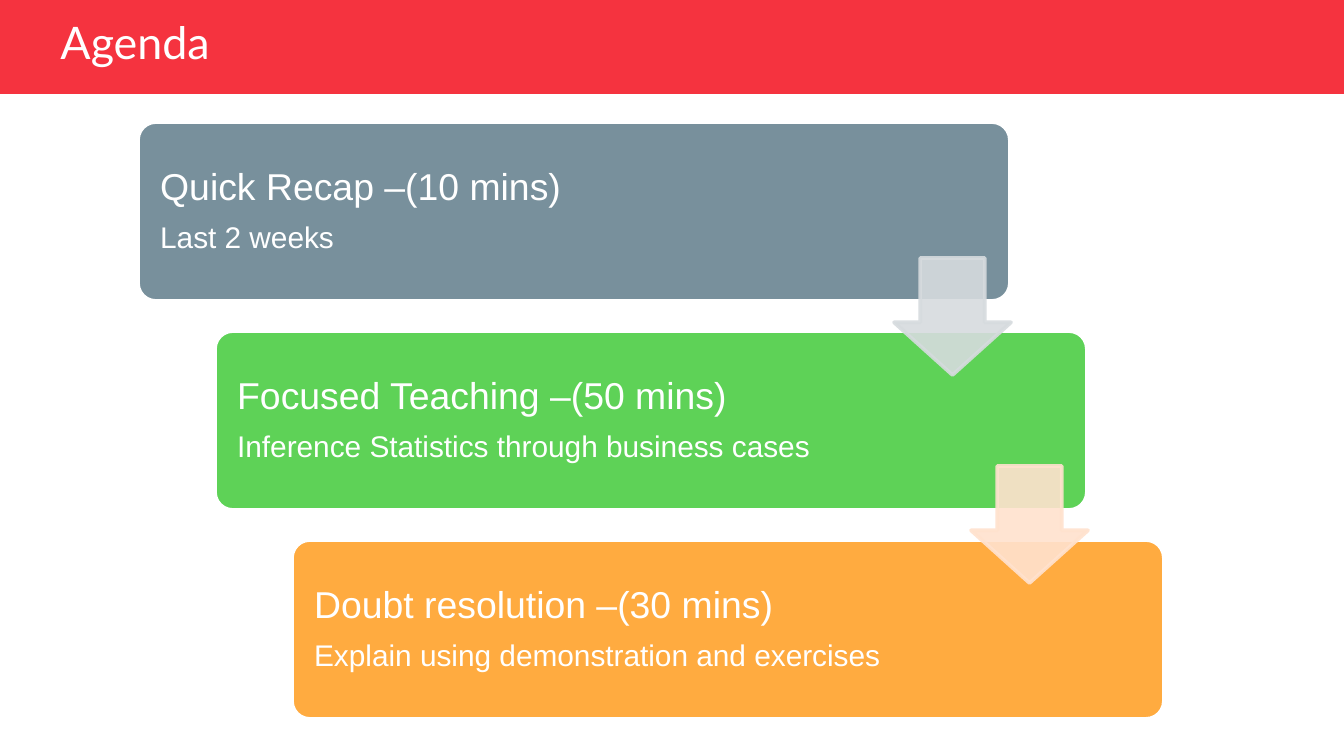
import pptx
import pptx.util
import pptx.dml.color
import pptx.enum.shapes
import pptx.enum.text
import pptx.oxml
import pptx.oxml.ns

TITLE = "Agenda"
STEPS = [
    ("Quick Recap –(10 mins)", "Last 2 weeks", "78909C"),
    ("Focused Teaching –(50 mins)", "Inference Statistics through business cases", "5ED257"),
    ("Doubt resolution –(30 mins)", "Explain using demonstration and exercises", "FFAB40"),
]
ARROW_COLORS = ["D6DBDE", "FFE2CE"]
ARROW_ALPHA = 90

SLIDE = (1344, 756)
BAR = (0, 0, 1344, 94)
TITLE_BOX = (47, 17, 550, 56)
STEP_BOX = (138, 122, 872, 179)
ARROW_BOX = (894, 258, 117, 117)
STEP_SHIFT = (77, 209)
ARROW_SHIFT = (77, 208)
SCALE = 914400 / 134.4

SHAPE = pptx.enum.shapes.MSO_SHAPE
TEXT = pptx.enum.text


def px(n):
    return pptx.util.Emu(round(n * SCALE))


def rgb(value):
    return pptx.dml.color.RGBColor.from_string(value)


def shifted(box, shift, i):
    x, y, w, h = box
    return x + i * shift[0], y + i * shift[1], w, h


def add_shape(s, kind, box, fill, line=None):
    sp = s.shapes.add_shape(kind, *map(px, box))
    sp.shadow.inherit = False
    sp.fill.solid()
    sp.fill.fore_color.rgb = rgb(fill)
    if line:
        sp.line.color.rgb = rgb(line)
        sp.line.width = pptx.util.Pt(2)
    else:
        sp.line.fill.background()
    return sp


def set_alpha(sp, percent):
    for color in sp.element.spPr.iter(pptx.oxml.ns.qn("a:srgbClr")):
        alpha = pptx.oxml.parse_xml(
            f'<a:alpha {pptx.oxml.ns.nsdecls("a")} val="{percent * 1000}"/>')
        color.append(alpha)


def format_paragraph(p, font, size):
    p.alignment = TEXT.PP_ALIGN.LEFT
    p.line_spacing = 0.9
    for r in p.runs:
        r.font.name = font
        r.font.size = pptx.util.Pt(size)
        r.font.color.rgb = rgb("FFFFFF")


def add_title(s):
    sp = s.shapes.title
    sp.left, sp.top, sp.width, sp.height = map(px, TITLE_BOX)
    tf = sp.text_frame
    tf.text = TITLE
    tf.auto_size = TEXT.MSO_AUTO_SIZE.NONE
    tf.vertical_anchor = TEXT.MSO_ANCHOR.MIDDLE
    format_paragraph(tf.paragraphs[0], "Lato", 24)
    bar = add_shape(s, SHAPE.RECTANGLE, BAR, "F5333F")
    sp.element.addprevious(bar.element)


def add_step(s, i, heading, detail, color):
    sp = add_shape(s, SHAPE.ROUNDED_RECTANGLE, shifted(STEP_BOX, STEP_SHIFT, i), color, "FFFFFF")
    sp.adjustments[0] = 0.1
    tf = sp.text_frame
    tf.word_wrap = True
    tf.vertical_anchor = TEXT.MSO_ANCHOR.MIDDLE
    tf.margin_left = tf.margin_top = tf.margin_bottom = px(17)
    tf.margin_right = px(202)
    tf.text = f"{heading}\n{detail}"
    for p, size in zip(tf.paragraphs, (20, 16)):
        format_paragraph(p, "Arial", size)
    tf.paragraphs[0].space_after = pptx.util.Pt(8)


def add_arrow(s, i, color):
    sp = add_shape(s, SHAPE.DOWN_ARROW, shifted(ARROW_BOX, ARROW_SHIFT, i), color, color)
    sp.adjustments[0] = 0.55
    sp.adjustments[1] = 0.45
    set_alpha(sp, ARROW_ALPHA)


def main():
    prs = pptx.Presentation()
    prs.slide_width, prs.slide_height = map(px, SLIDE)
    s = prs.slides.add_slide(prs.slide_layouts[5])
    add_title(s)
    for i, step in enumerate(STEPS):
        add_step(s, i, *step)
    for i, color in enumerate(ARROW_COLORS):
        add_arrow(s, i, color)
    prs.save("out.pptx")


if __name__ == "__main__":
    main()
